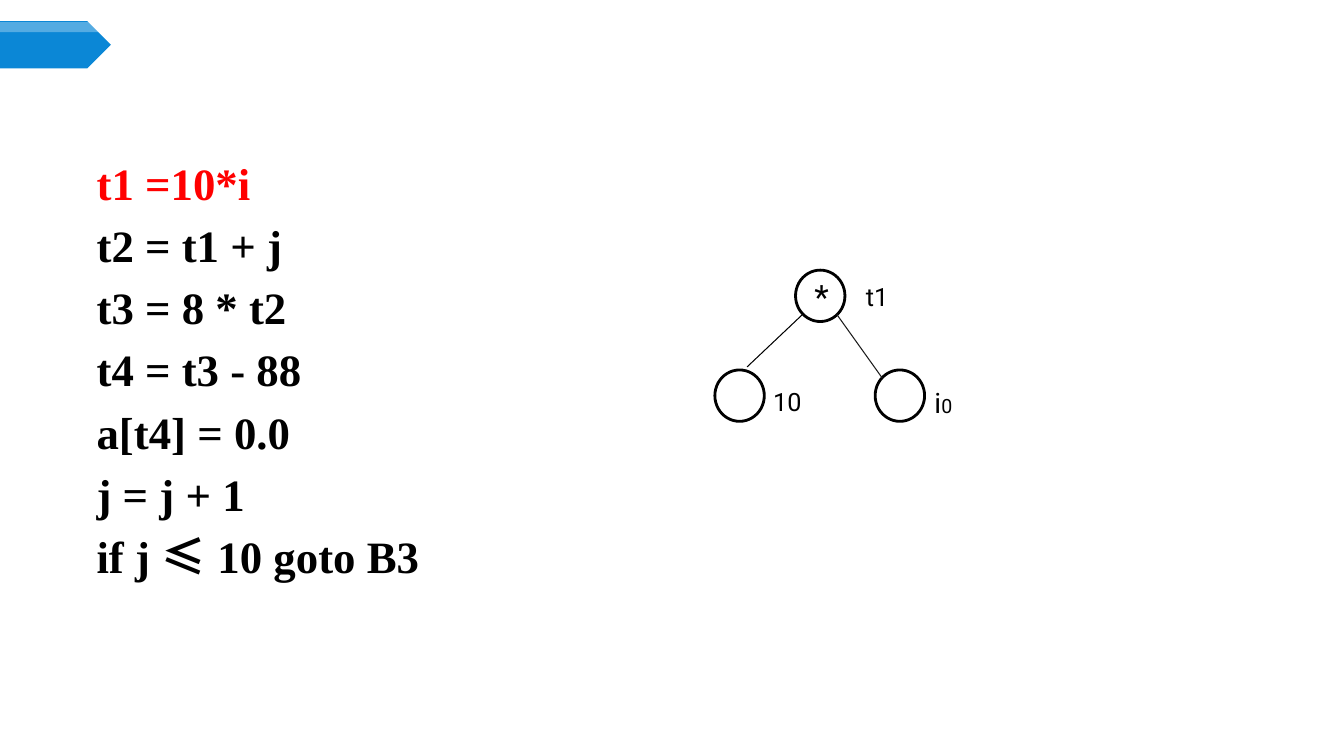
import lxml.etree
import pptx
import pptx.util
import pptx.dml.color
import pptx.enum.shapes
import pptx.oxml.ns
from pptx.util import Inches

COLORS = {"black": "000000", "white": "FFFFFF", "red": "FF0000", "blue": "0B87D6", "ink": "1C1C1C"}
CODE_FONT, SYMBOL_FONT, LABEL_FONT = "Times New Roman", "Noto Sans CJK SC", "Roboto"

CODE_BOX = (0.86, 1.5, 11.33, 4.5)
CODE = [
    ("red", ["t1 =10*i"]),
    ("black", ["t2 = t1 + j"]),
    ("black", ["t3 = 8 * t2"]),
    ("black", ["t4 = t3 - 88"]),
    ("black", ["a[t4] = 0.0"]),
    ("black", ["j = j + 1"]),
    ("black", ["if j ", "≤", " 10 goto B3"]),
]
BANNER = [((0, 0.21, 1.1, 0.47), "blue", 100), ((0, 0.22, 1.1, 0.1), "white", 30)]
NODE_SIZE = (0.49, 0.51)
NODES = [(7.09, 3.67), (8.68, 3.67), (7.89, 2.68)]
EDGES = [((7.96, 3.12), (7.41, 3.64), "black"), ((8.3, 3.12), (8.75, 3.75), "ink")]
LABELS = [
    ((7.57, 3.78, 0.51, 0.4), [("10", 18)]),
    ((9.17, 3.78, 0.77, 0.44), [("i", 20), ("0", 14)]),
    ((7.98, 2.69, 0.3, 0.5), [("*", 24)]),
    ((8.49, 2.74, 0.87, 0.4), [("t1", 18)]),
]


def rgb(name):
    return pptx.dml.color.RGBColor.from_string(COLORS[name])


def add_xml(parent, tag, **attributes):
    lxml.etree.SubElement(parent, pptx.oxml.ns.qn(tag), attributes)


def add_filled(slide, preset, box, color):
    shape = slide.shapes.add_shape(preset, *map(Inches, box))
    shape.shadow.inherit = False
    shape.fill.solid()
    shape.fill.fore_color.rgb = rgb(color)
    shape.line.fill.background()
    return shape


def add_text_frame(slide, box):
    frame = slide.shapes.add_textbox(*map(Inches, box)).text_frame
    frame.word_wrap = True
    return frame


def add_banner(slide):
    for box, color, opacity in BANNER:
        band = add_filled(slide, pptx.enum.shapes.MSO_SHAPE.PENTAGON, box, color)
        if opacity < 100:
            tint = next(band._element.spPr.iter(pptx.oxml.ns.qn("a:srgbClr")))
            add_xml(tint, "a:alpha", val=str(opacity * 1000))


def add_code(slide):
    frame = add_text_frame(slide, CODE_BOX)
    for index, (color, pieces) in enumerate(CODE):
        line = frame.add_paragraph() if index else frame.paragraphs[0]
        line.line_spacing = pptx.util.Pt(38)
        if index:
            line.space_before = pptx.util.Pt(6.4)
        line.font.size = pptx.util.Pt(32)
        line.font.bold = True
        line.font.name = CODE_FONT
        line.font.color.rgb = rgb(color)
        for piece in pieces:
            run = line.add_run()
            run.text = piece
            if piece == "≤":
                run.font.name = SYMBOL_FONT
                add_xml(run.font._element, "a:ea", typeface=SYMBOL_FONT)


def add_tree(slide):
    for corner in NODES:
        node = add_filled(slide, pptx.enum.shapes.MSO_SHAPE.OVAL, corner + NODE_SIZE, "white")
        node.line.color.rgb = rgb("black")
        node.line.width = pptx.util.Pt(2)
    for parent, child, color in EDGES:
        edge = slide.shapes.add_connector(
            pptx.enum.shapes.MSO_CONNECTOR.STRAIGHT, *map(Inches, parent + child))
        edge.line.color.rgb = rgb(color)
        edge.line.width = pptx.util.Pt(0.75)
        add_xml(edge._element.spPr, "a:effectLst")
    for box, pieces in LABELS:
        label = add_text_frame(slide, box).paragraphs[0]
        label.font.name = LABEL_FONT
        label.font.color.rgb = rgb("black")
        for text, size in pieces:
            run = label.add_run()
            run.text = text
            run.font.size = pptx.util.Pt(size)


def main():
    """Build the slide with three-address code and its expression tree."""
    deck = pptx.Presentation()
    deck.slide_width, deck.slide_height = Inches(13.33), Inches(7.5)
    slide = deck.slides.add_slide(deck.slide_layouts[6])
    add_banner(slide)
    add_code(slide)
    add_tree(slide)
    deck.save("out.pptx")


if __name__ == "__main__":
    main()
